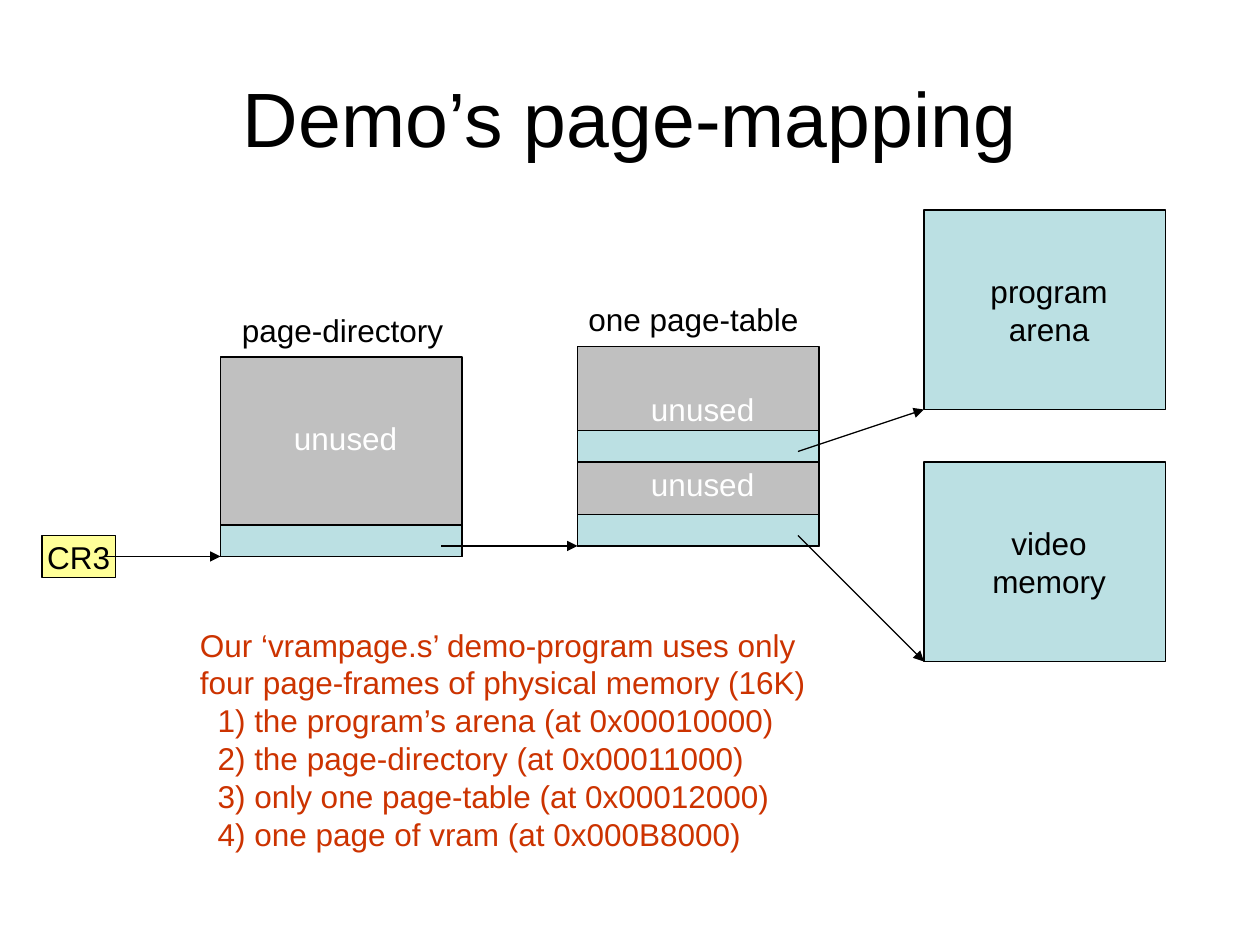
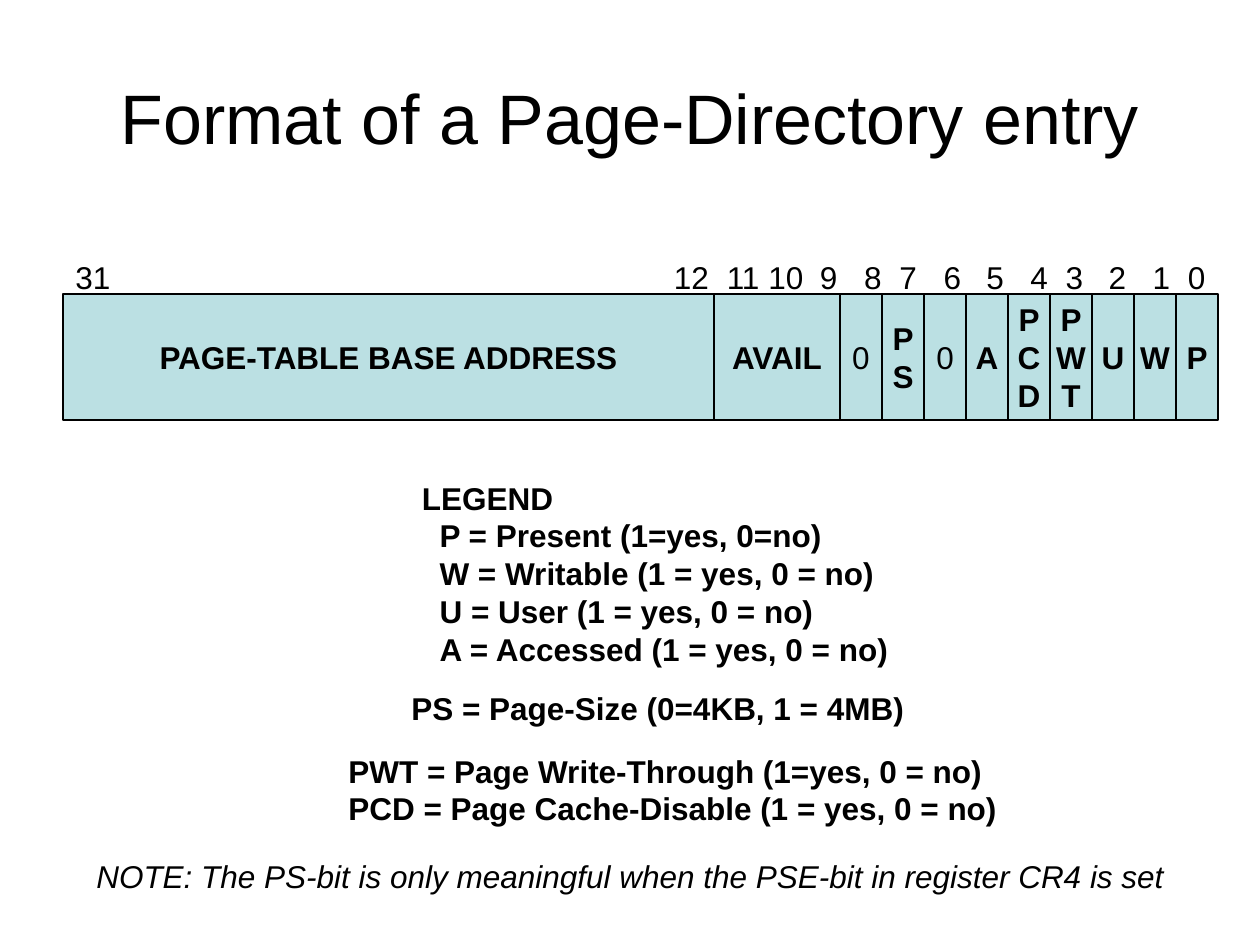
from dataclasses import dataclass

from lxml import etree
from pptx import Presentation
from pptx.dml.color import RGBColor
from pptx.enum.shapes import MSO_CONNECTOR, MSO_SHAPE
from pptx.enum.text import MSO_ANCHOR, MSO_AUTO_SIZE, PP_ALIGN
from pptx.oxml.ns import qn
from pptx.util import Inches, Pt

RECTANGLE = MSO_SHAPE.RECTANGLE
STRAIGHT = MSO_CONNECTOR.STRAIGHT
CENTER, LEFT = PP_ALIGN.CENTER, PP_ALIGN.LEFT
MIDDLE, TOP = MSO_ANCHOR.MIDDLE, MSO_ANCHOR.TOP
NO_AUTOFIT = MSO_AUTO_SIZE.NONE
TITLE_ONLY = 5


@dataclass(frozen=True)
class Theme:
    font: str = "Arial"
    ink: str = "000000"
    white: str = "FFFFFF"
    used: str = "BBE0E3"
    unused: str = "C0C0C0"
    register: str = "FFFF99"
    remark: str = "CC3300"
    title: int = 44
    long_title: int = 40
    body: int = 18
    line: float = 0.75
    blank_line: float = 21.5


THEME = Theme()
SPACE = 0.07  # width of one space at body size, in inches
PAGE_W, PAGE_H = 23, 19  # a page-frame, in grid cells
ENTRY_H = 3


def grid(cells):
    """Length of a number of cells, twelve to the inch."""
    return Inches(cells / 12)


def color(code):
    return RGBColor.from_string(code)


def format_text(frame, ink=THEME.ink, size=THEME.body, align=LEFT,
                bold=False, italic=False):
    for paragraph in frame.paragraphs:
        paragraph.alignment = align
        for run in paragraph.runs:
            font = run.font
            font.name, font.size = THEME.font, Pt(size)
            font.bold, font.italic = bold, italic
            font.color.rgb = color(ink)


def set_margins(frame, left, top, right, bottom):
    frame.margin_left, frame.margin_top = Inches(left), Inches(top)
    frame.margin_right, frame.margin_bottom = Inches(right), Inches(bottom)


def add_titled_slide(deck, title, size):
    slide = deck.slides.add_slide(deck.slide_layouts[TITLE_ONLY])
    heading = slide.shapes.title
    heading.left, heading.top = Inches(0.5), Inches(0.3)
    heading.width, heading.height = Inches(9), Inches(1.25)
    frame = heading.text_frame
    frame.text = title
    frame.auto_size = NO_AUTOFIT
    frame.vertical_anchor = MIDDLE
    format_text(frame, size=size, align=CENTER)
    return slide


def add_box(slide, col, row, cols, rows, fill, text="", ink=THEME.ink,
            bold=False, shift=0, lift=0):
    """Outlined rectangle; shift and lift push its text right and up."""
    box = slide.shapes.add_shape(RECTANGLE, grid(col), grid(row),
                                 grid(cols), grid(rows))
    box.shadow.inherit = False
    box.fill.solid()
    box.fill.fore_color.rgb = color(fill)
    box.line.color.rgb = color(THEME.ink)
    box.line.width = Pt(THEME.line)
    frame = box.text_frame
    if text:
        frame.text = text
        frame.word_wrap = False
        frame.vertical_anchor = MIDDLE
        set_margins(frame, shift, 0, 0, lift)
        format_text(frame, ink, align=CENTER, bold=bold)
    return frame


def add_text(slide, col, row, width, lines, shift=0, **style):
    """Unwrapped lines of text; width is in inches."""
    height = 0.1 + 0.3 * len(lines)
    label = slide.shapes.add_textbox(grid(col), grid(row),
                                     Inches(width), Inches(height))
    frame = label.text_frame
    frame.text = "\n".join(lines)
    frame.word_wrap = False
    frame.vertical_anchor = TOP
    set_margins(frame, 0.1 + shift, 0.05, 0, 0.05)
    format_text(frame, **style)
    return frame


def indent(paragraphs, inches):
    for paragraph in paragraphs:
        properties = paragraph._p.get_or_add_pPr()
        properties.set("marL", str(Inches(inches)))
        properties.set("indent", "0")


def add_tab_stops(paragraph, stops):
    tabs = etree.SubElement(paragraph._p.get_or_add_pPr(), qn("a:tabLst"))
    for stop in stops:
        etree.SubElement(tabs, qn("a:tab"), pos=str(Inches(stop)), algn="l")


def add_arrow(slide, start, end):
    arrow = slide.shapes.add_connector(STRAIGHT, *map(grid, start + end))
    arrow.line.color.rgb = color(THEME.ink)
    arrow.line.width = Pt(THEME.line)
    etree.SubElement(arrow.line._get_or_add_ln(), qn("a:tailEnd"),
                     type="triangle")
    etree.SubElement(arrow._element.spPr, qn("a:effectLst"))


def build_mapping_slide(deck):
    slide = add_titled_slide(deck, "Demo’s page-mapping", THEME.title)

    for row, target in ((20, "program\narena"), (44, "video\nmemory")):
        add_box(slide, 88, row, PAGE_W, PAGE_H, THEME.used, target,
                shift=SPACE)

    page_table = add_box(slide, 55, 33, PAGE_W, PAGE_H, THEME.unused,
                         "unused\nunused", THEME.white, shift=SPACE)
    page_table.paragraphs[1].space_before = Pt(THEME.blank_line)
    add_box(slide, 21, 34, PAGE_W, PAGE_H, THEME.unused, "unused",
            THEME.white, shift=SPACE, lift=0.3)
    for col, row in ((21, 50), (55, 49), (55, 41)):
        add_box(slide, col, row, PAGE_W, ENTRY_H, THEME.used)
    add_box(slide, 4, 51, 7, 4, THEME.register, "CR3")

    add_text(slide, 21, 29, 1.86, ["page-directory"], shift=SPACE)
    add_text(slide, 54, 28, 1.94, ["one page-table"], shift=SPACE)

    for start, end in (((10, 53), (21, 53)), ((42, 52), (55, 52)),
                       ((76, 43), (88, 39)), ((76, 51), (88, 63))):
        add_arrow(slide, start, end)

    remark = add_text(slide, 17, 59, 5.07, [
        "Our ‘vrampage.s’ demo-program uses only",
        "four page-frames of physical memory (16K)",
        "1) the program’s arena (at 0x00010000)",
        "2) the page-directory (at 0x00011000)",
        "3) only one page-table (at 0x00012000)",
        "4) one page of vram (at 0x000B8000)",
    ], shift=SPACE, ink=THEME.remark)
    indent(remark.paragraphs[2:], 2 * SPACE)


def build_entry_slide(deck):
    slide = add_titled_slide(deck, "Format of a Page-Directory entry",
                             THEME.long_title)

    add_text(slide, 6, 24, 0.48, ["31"])
    bits = "\t".join(str(bit) for bit in range(12, -1, -1))
    bit_numbers = add_text(slide, 63, 24, 4.44, [bits])
    add_tab_stops(bit_numbers.paragraphs[0],
                  (0.42, 0.75, 1.16, 1.51, 1.79, 2.14,
                   2.48, 2.83, 3.11, 3.45, 3.8, 4.08))

    flags = ("0", "P\nS", "0", "A", "P\nC\nD", "P\nW\nT", "U", "W", "P")
    fields = [("PAGE-TABLE BASE ADDRESS", 62), ("AVAIL", 12)]
    fields += [(flag, 4) for flag in flags]
    col = 6
    for field, cols in fields:
        add_box(slide, col, 28, cols, 12, THEME.used, field,
                bold=field != "0")
        col += cols

    legend = add_text(slide, 39, 45, 4.08, [
        "LEGEND",
        "P = Present (1=yes, 0=no)",
        "W = Writable (1 = yes, 0 = no)",
        "U = User (1 = yes, 0 = no)",
        "A = Accessed (1 = yes, 0 = no)",
    ], bold=True)
    indent(legend.paragraphs[1:], 2 * SPACE)
    add_text(slide, 38, 65, 4.11, ["PS = Page-Size (0=4KB, 1 = 4MB)"],
             bold=True)
    add_text(slide, 32, 71, 5.35, [
        "PWT = Page Write-Through (1=yes, 0 = no)",
        "PCD = Page Cache-Disable (1 = yes, 0 = no)",
    ], bold=True)
    add_text(slide, 8, 81, 8.67, [
        "NOTE: The PS-bit is only meaningful when the PSE-bit "
        "in register CR4 is set",
    ], italic=True)


def main():
    deck = Presentation()
    deck.slide_width, deck.slide_height = Inches(10), Inches(7.5)
    build_mapping_slide(deck)
    build_entry_slide(deck)
    deck.save("out.pptx")


if __name__ == "__main__":
    main()
